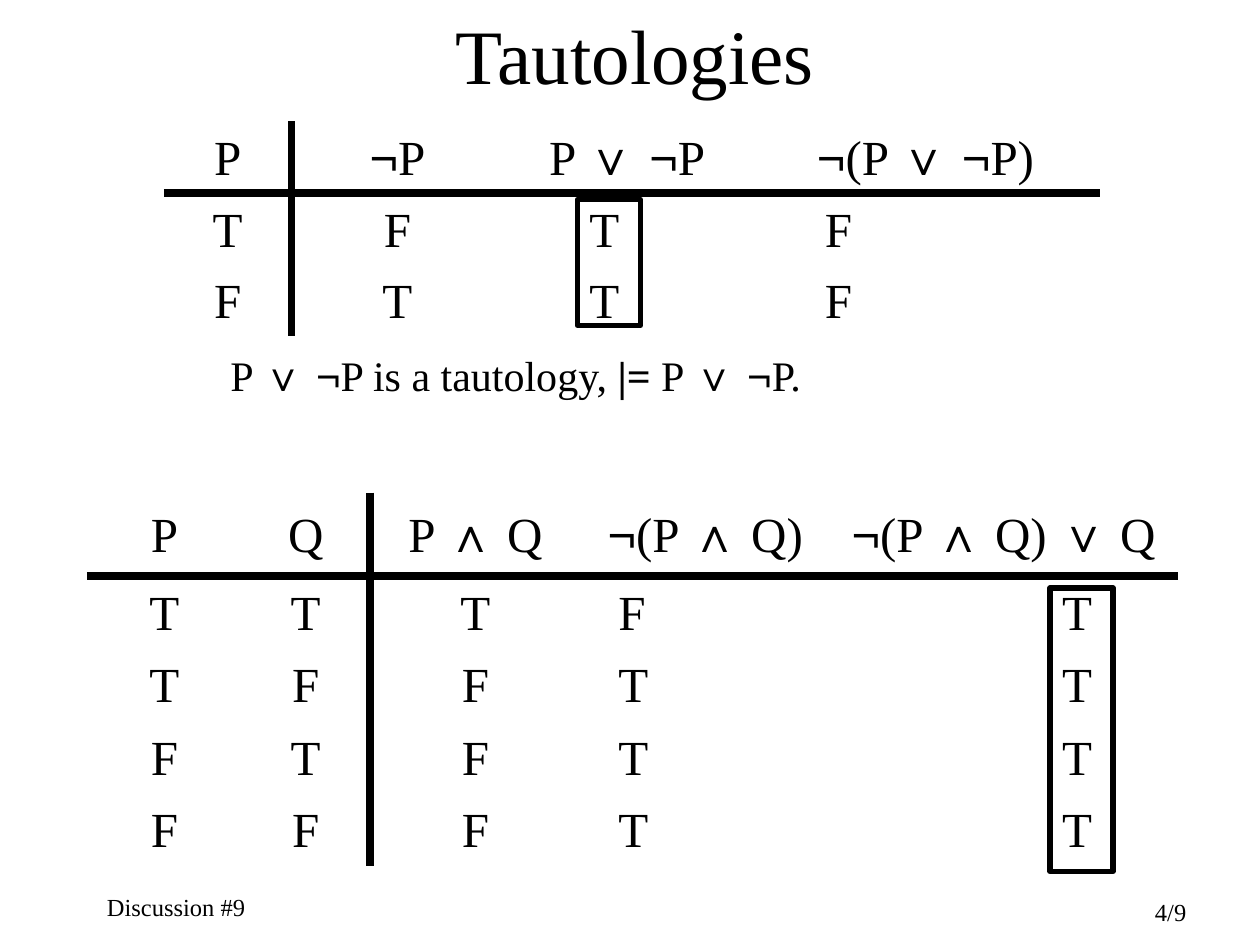
from dataclasses import dataclass

from lxml import etree
from pptx import Presentation
from pptx.dml import color as dml
from pptx.enum import shapes, text
from pptx.oxml import ns
from pptx.util import Pt

INK = {"black": "000000"}
SERIF, SANS = "Times New Roman", "Arial"
LEFT, MID, RIGHT = text.PP_ALIGN.LEFT, text.PP_ALIGN.CENTER, text.PP_ALIGN.RIGHT
TOP, CENTER = text.MSO_ANCHOR.TOP, text.MSO_ANCHOR.MIDDLE


@dataclass
class Label:
    """A free line of text; ~ marks encloses logic symbols."""
    words: str
    x: float
    y: float
    w: float
    h: float
    size: float
    align: int = LEFT
    anchor: int = TOP


@dataclass
class Column:
    """One truth-table column; an indent left-aligns its values."""
    head: str
    vals: str
    w: float
    indent: float = 0


@dataclass
class Truth:
    """A truth table with a rule under its head and one beside its inputs."""
    x: float
    y: float
    head: float
    row: float
    inputs: int
    cols: list[Column]


@dataclass
class Frame:
    """An outline around a column of values."""
    x: float
    y: float
    w: float
    h: float


LABELS = [
    Label("Discussion #9", 54, 506, 150, 24, 14),
    Label("4/9", 535, 509, 150, 21, 14, RIGHT),
    Label("Tautologies", 57, 1, 612, 59, 44, MID, CENTER),
    Label("P ~∨ ¬~P is a tautology, ~~|=~~ P ~∨ ¬~P.", 124.5, 196, 536, 36, 24),
]
TRUTHS = [
    Truth(93.6, 69.2, 41, 41, 1, [
        Column("P", "TF", 73),
        Column("~¬~P", "FT", 121),
        Column("P ~∨ ¬~P", "TT", 141.6, 49.2),
        Column("~¬~(P ~∨ ¬~P)", "FF", 199.4, 42.2),
    ]),
    Truth(49.7, 281.5, 47.5, 41.4, 2, [
        Column("P", "TTFF", 88.5),
        Column("Q", "TFTF", 73),
        Column("P ~∧~ Q", "TFFF", 121),
        Column("~¬~(P ~∧~ Q)", "FTTT", 141.6, 21.2),
        Column("~¬~(P ~∧~ Q) ~∨~ Q", "TTTT", 199.4, 133.2),
    ]),
]
FRAMES = [Frame(330, 114, 36, 72), Frame(600, 336, 36, 162)]


def tint(name: str) -> dml.RGBColor:
    """Return a named colour."""
    return dml.RGBColor.from_string(INK[name])


def write(para, words: str, size: float, align: int) -> None:
    """Fill a paragraph, setting the marked symbols in the sans font."""
    para.alignment = align
    for i, bit in enumerate(words.split("~")):
        if bit:
            run = para.add_run()
            run.text = bit
            font = run.font
            font.size, font.bold = Pt(size), bit == "|="
            font.name = SANS if i % 2 else SERIF
            font.color.rgb = tint("black")


def label(slide, item: Label) -> None:
    """Draw a free line of text."""
    box = slide.shapes.add_textbox(Pt(item.x), Pt(item.y), Pt(item.w), Pt(item.h))
    body = box.text_frame
    body.word_wrap = True
    body.vertical_anchor = item.anchor
    write(body.paragraphs[0], item.words, item.size, item.align)


def rule(slide, x: float, y: float, w: float, h: float) -> None:
    """Draw a heavy straight line."""
    line = slide.shapes.add_connector(
        shapes.MSO_CONNECTOR.STRAIGHT, Pt(x), Pt(y), Pt(x + w), Pt(y + h))
    line.line.width = Pt(4.5)
    line.line.color.rgb = tint("black")
    etree.SubElement(line._element.spPr, ns.qn("a:effectLst"))


def truth(slide, item: Truth) -> None:
    """Draw a truth table and its two rules."""
    cols = item.cols
    count = len(cols[0].vals)
    wide = sum(c.w for c in cols)
    tall = item.head + count * item.row
    grid = slide.shapes.add_table(
        count + 1, len(cols), Pt(item.x), Pt(item.y), Pt(wide), Pt(tall)).table
    grid.first_row = grid.horz_banding = False
    for r, row in enumerate(grid.rows):
        row.height = Pt(item.row if r else item.head)
    for c, col in enumerate(cols):
        grid.columns[c].width = Pt(col.w)
        for r, words in enumerate([col.head, *col.vals]):
            cell = grid.cell(r, c)
            cell.fill.background()
            cell.vertical_anchor = CENTER
            cell.margin_top, cell.margin_bottom = Pt(2), Pt(0)
            shift = col.indent if r else 0
            if shift:
                cell.margin_left = Pt(shift)
            write(cell.text_frame.paragraphs[0], words, 28, LEFT if shift else MID)
    rule(slide, item.x, item.y + item.head, wide, 0)
    rule(slide, item.x + sum(c.w for c in cols[:item.inputs]), item.y, 0, tall)


def frame(slide, item: Frame) -> None:
    """Draw an unfilled outline."""
    box = slide.shapes.add_shape(
        shapes.MSO_SHAPE.RECTANGLE, Pt(item.x), Pt(item.y), Pt(item.w), Pt(item.h))
    box.shadow.inherit = False
    box.fill.background()
    box.line.width = Pt(3)
    box.line.color.rgb = tint("black")


def main() -> None:
    """Build the slide and save it."""
    deck = Presentation()
    deck.slide_width, deck.slide_height = Pt(720), Pt(540)
    slide = deck.slides.add_slide(deck.slide_layouts[6])
    for draw, items in ((label, LABELS), (truth, TRUTHS), (frame, FRAMES)):
        for item in items:
            draw(slide, item)
    deck.save("out.pptx")


if __name__ == "__main__":
    main()
